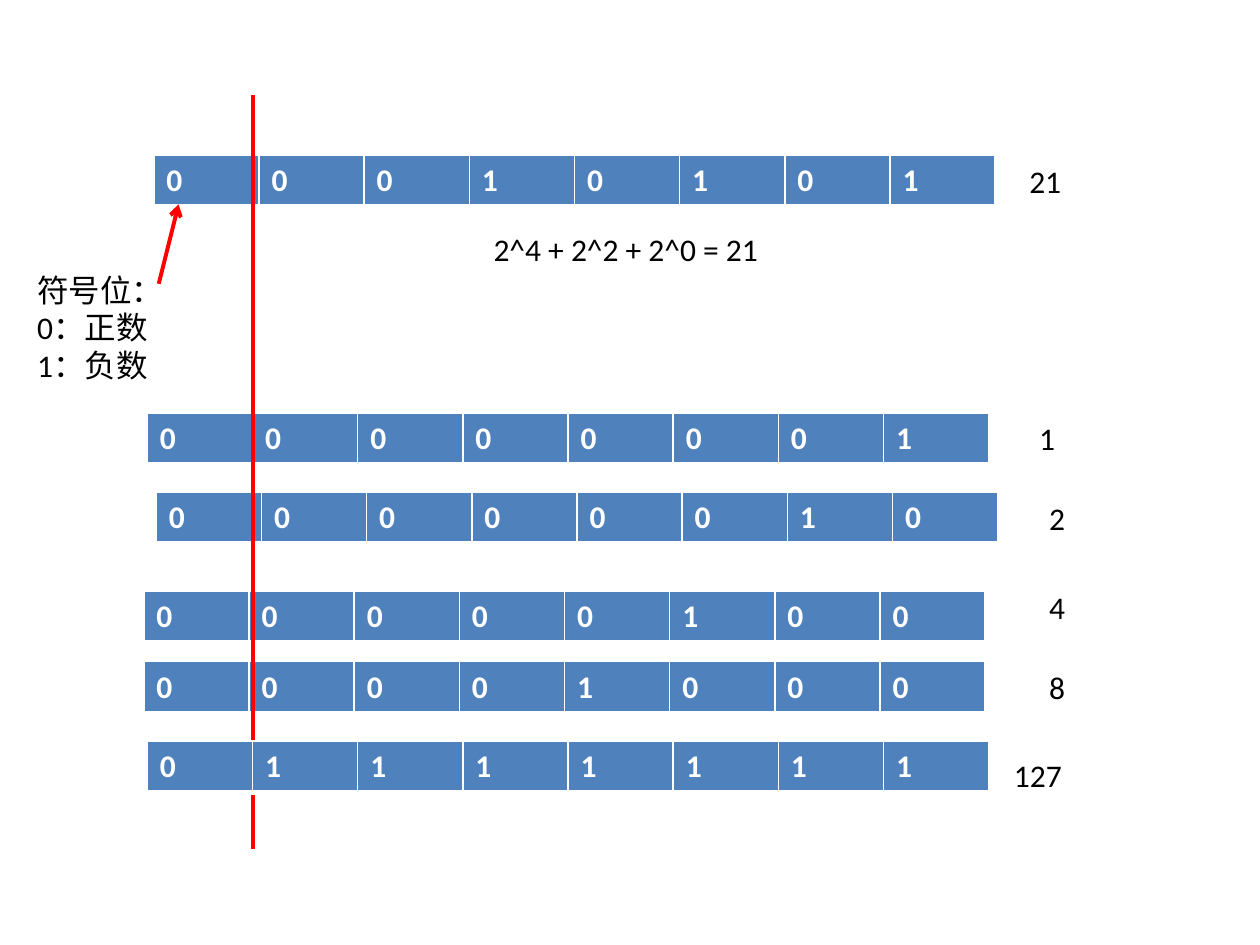
import pptx
import pptx.dml.color
import pptx.enum.shapes
import pptx.enum.text
import pptx.util
import pptx.oxml
import pptx.oxml.ns

Cm = pptx.util.Cm
Pt = pptx.util.Pt

COLORS = {"cell": "4F81BD", "border": "FFFFFF", "bit": "FFFFFF", "text": "000000", "mark": "FF0000"}
FONT = "Calibri"
BITS = 8
BIT_WIDTH, BIT_HEIGHT = 2.12, 1.03
LABEL_HEIGHT = 1.03
BORDERS = {"lnL": 1, "lnR": 1, "lnT": 1, "lnB": 3}

# value, left and top of its bits, left, top and width of its label
BYTES = [
    (21, (3.1, 3.12), (20.5, 3.15, 1.6)),
    (1, (2.97, 8.33), (20.7, 8.33, 1)),
    (2, (3.15, 9.93), (20.9, 9.93, 1)),
    (4, (2.9, 11.91), (20.9, 11.73, 1)),
    (8, (2.9, 13.34), (20.9, 13.34, 1)),
    (127, (2.97, 14.94), (20.19, 15.11, 3)),
]
SIGN_NOTE = ["符号位：", "0：正数", "1：负数"]
EQUATION = ["2^4 + 2^2 + 2^0 = 21"]


def rgb(name):
    return pptx.dml.color.RGBColor.from_string(COLORS[name])


def add_run(para, text, color, bold=False):
    run = para.add_run()
    run.text = text
    run.font.name = FONT
    run.font.size = Pt(18)
    run.font.bold = bold
    run.font.color.rgb = rgb(color)


def add_text(page, lines, left, top, width, height=LABEL_HEIGHT):
    box = page.shapes.add_textbox(Cm(left), Cm(top), Cm(width), Cm(height))
    frame = box.text_frame
    frame.word_wrap = True
    frame.auto_size = pptx.enum.text.MSO_AUTO_SIZE.SHAPE_TO_FIT_TEXT
    for index, line in enumerate(lines):
        para = frame.add_paragraph() if index else frame.paragraphs[0]
        add_run(para, line, "text")


def format_cell(cell):
    cell.fill.solid()
    cell.fill.fore_color.rgb = rgb("cell")
    properties = cell._tc.get_or_add_tcPr()
    for index, (tag, points) in enumerate(BORDERS.items()):
        border = pptx.oxml.parse_xml(
            f'<a:{tag} {pptx.oxml.ns.nsdecls("a")} w="{Pt(points)}"><a:solidFill>'
            f'<a:srgbClr val="{COLORS["border"]}"/></a:solidFill></a:{tag}>')
        properties.insert(index, border)


def add_byte(page, value, place, label):
    """Draw a value as a one-row table of bits with its decimal label."""
    left, top = place
    table = page.shapes.add_table(
        1, BITS, Cm(left), Cm(top), Cm(BITS * BIT_WIDTH), Cm(BIT_HEIGHT)).table
    for column, bit in enumerate(format(value, f"0{BITS}b")):
        table.columns[column].width = Cm(BIT_WIDTH)
        cell = table.cell(0, column)
        format_cell(cell)
        add_run(cell.text_frame.paragraphs[0], bit, "bit", bold=True)
    add_text(page, [str(value)], *label)


def add_line(page, start, end, arrow=False):
    line = page.shapes.add_connector(
        pptx.enum.shapes.MSO_CONNECTOR.STRAIGHT, *map(Cm, start + end))
    line.line.color.rgb = rgb("mark")
    line.line.width = Pt(2.25)
    if arrow:
        head = pptx.oxml.parse_xml(f'<a:tailEnd {pptx.oxml.ns.nsdecls("a")} type="arrow"/>')
        line.line._get_or_add_ln().append(head)
    effects = pptx.oxml.parse_xml(f'<a:effectLst {pptx.oxml.ns.nsdecls("a")}/>')
    line._element.spPr.append(effects)


def main():
    deck = pptx.Presentation()
    deck.slide_width, deck.slide_height = Cm(25.4), Cm(19.05)
    page = deck.slides.add_slide(deck.slide_layouts[6])

    for byte in BYTES[:-1]:
        add_byte(page, *byte)
    add_line(page, (3.2, 5.72), (3.6, 4.12), arrow=True)
    add_text(page, SIGN_NOTE, 0.5, 5.33, 3.2, 2.57)
    add_text(page, EQUATION, 9.7, 4.52, 6.2)
    # The last byte lies over the sign divider.
    add_line(page, (5.1, 1.92), (5.1, 17.12))
    add_byte(page, *BYTES[-1])

    deck.save("out.pptx")


if __name__ == "__main__":
    main()
